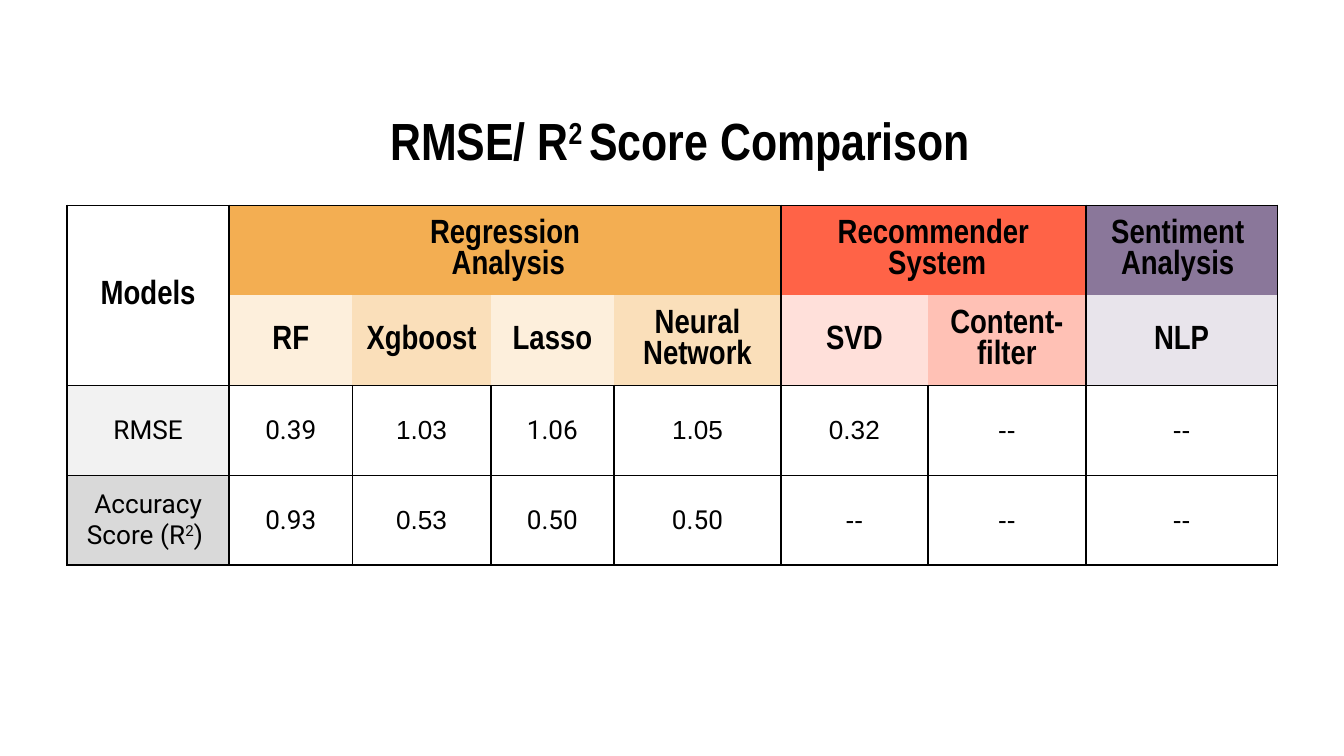
from lxml.etree import SubElement
from pptx import Presentation
from pptx.dml.color import RGBColor
from pptx.enum.text import MSO_ANCHOR as Anchor, MSO_AUTO_SIZE as AutoSize, PP_ALIGN as Align
from pptx.oxml.ns import qn
from pptx.util import Pt

COLORS = {
    "black": "000000", "white": "FFFFFF",
    "orange": "F3AE52", "orange_mid": "FADFBA", "orange_pale": "FDEFDC",
    "red": "FF6347", "red_mid": "FFC1B5", "red_pale": "FFE0DA",
    "purple": "8A779A", "purple_pale": "E8E4EB",
    "gray": "D9D9D9", "gray_pale": "F2F2F2",
}
TITLE = ["RMSE/ R", "2 ", "Score Comparison"]
GROUPS = [
    (["Regression", " Analysis"], "orange", [
        ("RF", "orange_pale"), ("Xgboost", "orange_mid"),
        ("Lasso", "orange_pale"), ("Neural Network", "orange_mid")]),
    (["Recommender", " System"], "red", [
        ("SVD", "red_pale"), ("Content-filter", "red_mid")]),
    (["Sentiment ", "Analysis "], "purple", [("NLP", "purple_pale")]),
]
ROBOTO, ARIAL, NARROW = "Roboto", "Arial", "Arial Narrow"
SCORES = [
    (["RMSE"], "gray_pale",
     ["0.39", "1.03", "1.06", "1.05", "0.32", "--", "--"],
     [ROBOTO, ARIAL, ROBOTO, ARIAL, ARIAL, ARIAL, ARIAL]),
    (["Accuracy Score (R", "2", ") "], "gray",
     ["0.93", "0.53", "0.50", "0.50", "--", "--", "--"],
     [ROBOTO, ARIAL, ROBOTO, ROBOTO, ARIAL, ARIAL, ARIAL]),
]
WIDTHS = [86.8, 66, 74.2, 66, 89.4, 78.8, 84.6, 102.6]
ROW_HEIGHT = 48.1
INSET = Pt(7.2)


def rgb(name):
    return RGBColor.from_string(COLORS[name])


def write(para, pieces, font, size, bold):
    para.alignment = Align.CENTER
    para.font.name, para.font.size, para.font.bold = font, Pt(size), bold
    para.font.color.rgb = rgb("black")
    for index, piece in enumerate(pieces):
        span = para.add_run()
        span.text = piece
        if index == 1:
            span.font._element.set("baseline", "30000")


def set_borders(cell, sides):
    properties = cell._tc.get_or_add_tcPr()
    for side in "LRTB":
        line = SubElement(properties, qn(f"a:ln{side}"), w=str(Pt(1)))
        if side in sides:
            fill = SubElement(line, qn("a:solidFill"))
            SubElement(fill, qn("a:srgbClr"), val=COLORS["black"])
        else:
            SubElement(line, qn("a:noFill"))


def fill_cell(cell, lines, color, sides="LRTB", font=NARROW, size=18, bold=True):
    set_borders(cell, sides)
    cell.fill.solid()
    cell.fill.fore_color.rgb = rgb(color)
    cell.vertical_anchor = Anchor.MIDDLE
    cell.margin_left = cell.margin_right = cell.margin_top = cell.margin_bottom = INSET
    frame = cell.text_frame
    for index, pieces in enumerate(lines):
        para = frame.add_paragraph() if index else frame.paragraphs[0]
        write(para, pieces, font, size, bold)


deck = Presentation()
deck.slide_width, deck.slide_height = Pt(720), Pt(405)
page = deck.slides.add_slide(deck.slide_layouts[5])

title = page.shapes.title
title.left, title.top, title.width, title.height = Pt(40.3), Pt(59.8), Pt(648), Pt(29.5)
frame = title.text_frame
frame.auto_size, frame.word_wrap = AutoSize.NONE, True
frame.vertical_anchor = Anchor.MIDDLE
frame.margin_left = frame.margin_right = frame.margin_top = frame.margin_bottom = INSET
write(frame.paragraphs[0], TITLE, NARROW, 28, True)

row_count = 2 + len(SCORES)
table = page.shapes.add_table(row_count, len(WIDTHS), Pt(36), Pt(110),
                              Pt(sum(WIDTHS)), Pt(ROW_HEIGHT * row_count)).table
table.first_row = table.horz_banding = False
for column, width in zip(table.columns, WIDTHS):
    column.width = Pt(width)
for row in table.rows:
    row.height = Pt(ROW_HEIGHT)

table.cell(0, 0).merge(table.cell(1, 0))
fill_cell(table.cell(0, 0), [["Models"]], "white")
set_borders(table.cell(1, 0), "LRB")

start = 1
for heading, color, models in GROUPS:
    last = start + len(models) - 1
    if last > start:
        table.cell(0, start).merge(table.cell(0, last))
    fill_cell(table.cell(0, start), [[line] for line in heading], color, "LRT")
    for position, (model, tint) in enumerate(models, start):
        sides = "B" + "L" * (position == start) + "R" * (position == last)
        fill_cell(table.cell(1, position), [[model]], tint, sides)
    start = last + 1

for row_index, (label, color, values, fonts) in enumerate(SCORES, 2):
    fill_cell(table.cell(row_index, 0), [label], color, font=ROBOTO, size=14, bold=False)
    for position, (value, font) in enumerate(zip(values, fonts), 1):
        fill_cell(table.cell(row_index, position), [[value]], "white",
                  font=font, size=14, bold=False)

deck.save("out.pptx")
